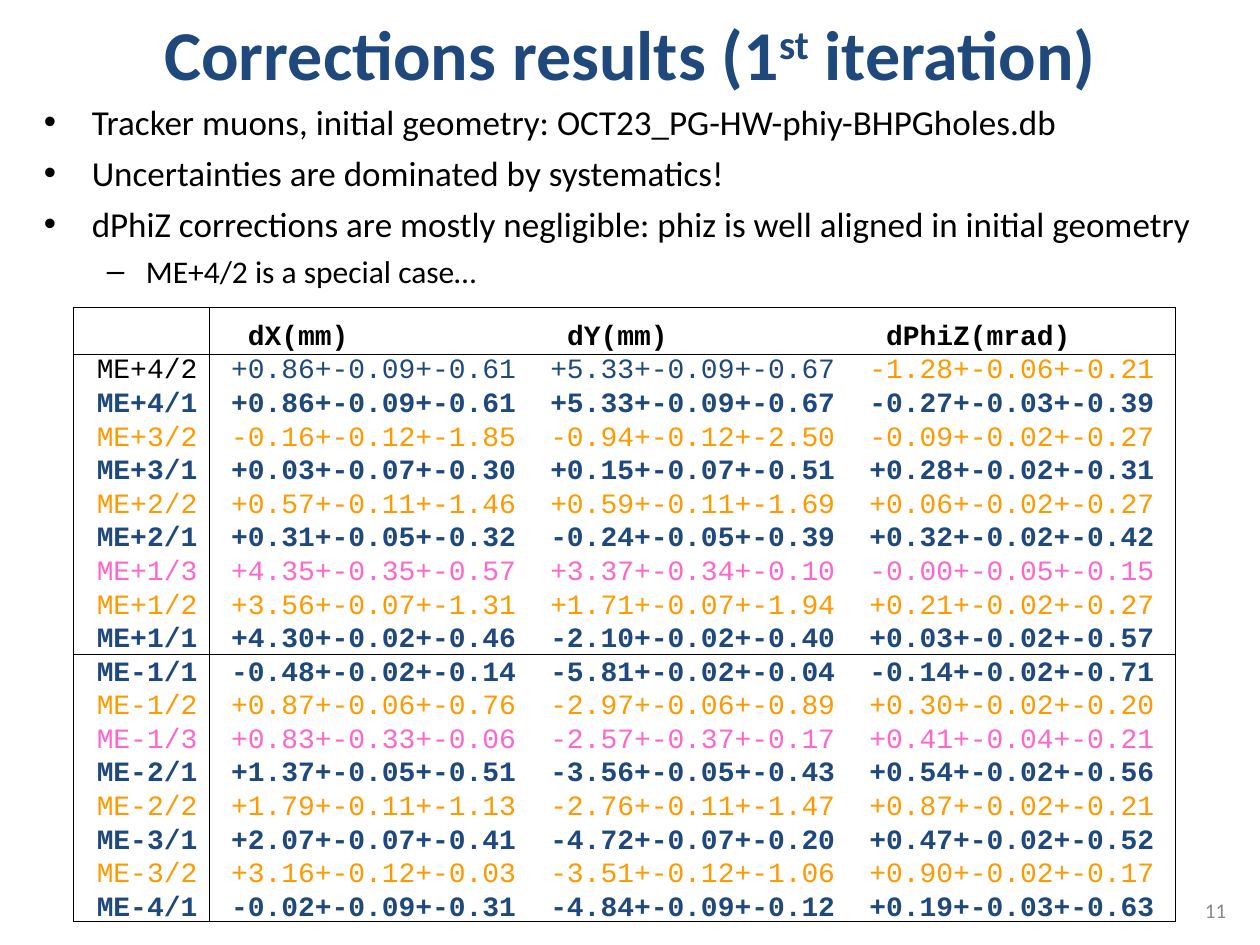
from lxml import etree
from pptx import Presentation
from pptx.dml.color import RGBColor
from pptx.enum.text import MSO_ANCHOR, MSO_AUTO_SIZE, PP_ALIGN
from pptx.oxml.ns import qn
from pptx.util import Inches, Pt

TOP, MIDDLE = MSO_ANCHOR.TOP, MSO_ANCHOR.MIDDLE
GROW = MSO_AUTO_SIZE.SHAPE_TO_FIT_TEXT
LEFT, CENTER, RIGHT = PP_ALIGN.LEFT, PP_ALIGN.CENTER, PP_ALIGN.RIGHT
BLACK, BLUE, ORANGE, PINK, GRAY = "000000", "1F497D", "FF9900", "FF66CC", "898989"
SANS, MONO = "Calibri", "Courier New"
RING_COLORS = {"1": BLUE, "2": ORANGE, "3": PINK}
CHAR = 0.1333

BULLETS = [
    (0, "Tracker muons, initial geometry: OCT23_PG-HW-phiy-BHPGholes.db"),
    (0, "Uncertainties are dominated by systematics!"),
    (0, "dPhiZ corrections are mostly negligible: phiz is well aligned in initial geometry"),
    (1, "ME+4/2 is a special case…"),
]
BULLET_STYLES = [("•", 20, 5, 0.38, -0.38), ("–", 18, 4.5, 0.81, -0.31)]
HEADERS = ["dX(mm)", "dY(mm)", "dPhiZ(mrad)"]
CORRECTIONS = [
    ("ME+4/2", "+0.86+-0.09+-0.61", "+5.33+-0.09+-0.67", "-1.28+-0.06+-0.21"),
    ("ME+4/1", "+0.86+-0.09+-0.61", "+5.33+-0.09+-0.67", "-0.27+-0.03+-0.39"),
    ("ME+3/2", "-0.16+-0.12+-1.85", "-0.94+-0.12+-2.50", "-0.09+-0.02+-0.27"),
    ("ME+3/1", "+0.03+-0.07+-0.30", "+0.15+-0.07+-0.51", "+0.28+-0.02+-0.31"),
    ("ME+2/2", "+0.57+-0.11+-1.46", "+0.59+-0.11+-1.69", "+0.06+-0.02+-0.27"),
    ("ME+2/1", "+0.31+-0.05+-0.32", "-0.24+-0.05+-0.39", "+0.32+-0.02+-0.42"),
    ("ME+1/3", "+4.35+-0.35+-0.57", "+3.37+-0.34+-0.10", "-0.00+-0.05+-0.15"),
    ("ME+1/2", "+3.56+-0.07+-1.31", "+1.71+-0.07+-1.94", "+0.21+-0.02+-0.27"),
    ("ME+1/1", "+4.30+-0.02+-0.46", "-2.10+-0.02+-0.40", "+0.03+-0.02+-0.57"),
    ("ME-1/1", "-0.48+-0.02+-0.14", "-5.81+-0.02+-0.04", "-0.14+-0.02+-0.71"),
    ("ME-1/2", "+0.87+-0.06+-0.76", "-2.97+-0.06+-0.89", "+0.30+-0.02+-0.20"),
    ("ME-1/3", "+0.83+-0.33+-0.06", "-2.57+-0.37+-0.17", "+0.41+-0.04+-0.21"),
    ("ME-2/1", "+1.37+-0.05+-0.51", "-3.56+-0.05+-0.43", "+0.54+-0.02+-0.56"),
    ("ME-2/2", "+1.79+-0.11+-1.13", "-2.76+-0.11+-1.47", "+0.87+-0.02+-0.21"),
    ("ME-3/1", "+2.07+-0.07+-0.41", "-4.72+-0.07+-0.20", "+0.47+-0.02+-0.52"),
    ("ME-3/2", "+3.16+-0.12+-0.03", "-3.51+-0.12+-1.06", "+0.90+-0.02+-0.17"),
    ("ME-4/1", "-0.02+-0.09+-0.31", "-4.84+-0.09+-0.12", "+0.19+-0.03+-0.63"),
]


def rgb(value):
    return RGBColor.from_string(value)


def add_box(s, box, anchor=TOP):
    tf = s.shapes.add_textbox(*map(Inches, box)).text_frame
    tf.word_wrap = True
    tf.vertical_anchor = anchor
    return tf


def add_run(p, text, size, color, bold=False, font=SANS):
    r = p.add_run()
    r.text = text
    r.font.name, r.font.size, r.font.bold = font, Pt(size), bold
    r.font.color.rgb = rgb(color)
    return r


def set_tabs(p, stops):
    tabs = etree.SubElement(p._p.get_or_add_pPr(), qn("a:tabLst"))
    for stop in stops:
        etree.SubElement(tabs, qn("a:tab"), pos=str(Inches(stop)), algn="l")


def add_title(s, box):
    p = add_box(s, box, MIDDLE).paragraphs[0]
    p.alignment = CENTER
    add_run(p, "Corrections results (1", 40, BLUE, True)
    r = add_run(p, "st", 40, BLUE, True)
    r.font._element.set("baseline", "30000")
    add_run(p, " iteration)", 40, BLUE, True)


def add_bullets(s, box):
    tf = add_box(s, box)
    for i, (level, text) in enumerate(BULLETS):
        mark, size, before, margin, indent = BULLET_STYLES[level]
        p = tf.add_paragraph() if i else tf.paragraphs[0]
        p.level = level
        p.space_before = Pt(before)
        pPr = p._p.get_or_add_pPr()
        pPr.set("marL", str(Inches(margin)))
        pPr.set("indent", str(Inches(indent)))
        etree.SubElement(pPr, qn("a:buFont"), typeface="Arial")
        etree.SubElement(pPr, qn("a:buChar"), char=mark)
        add_run(p, text, size, BLACK)


def add_page_number(s, box):
    p = add_box(s, box, MIDDLE).paragraphs[0]
    p.alignment = RIGHT
    add_run(p, "11", 12, GRAY)


def set_borders(cell):
    tcPr = cell._tc.get_or_add_tcPr()
    for side in ("lnL", "lnR", "lnT", "lnB"):
        ln = etree.SubElement(tcPr, qn(f"a:{side}"), w=str(Pt(0.45)))
        fill = etree.SubElement(ln, qn("a:solidFill"))
        etree.SubElement(fill, qn("a:srgbClr"), val=BLACK)


def add_grid(s, box, widths, heights):
    table = s.shapes.add_table(len(heights), len(widths), *map(Inches, box)).table
    table.first_row = table.horz_banding = False
    for column, width in zip(table.columns, widths):
        column.width = Inches(width)
    for row, height in zip(table.rows, heights):
        row.height = Inches(height)
    for cell in table.iter_cells():
        cell.margin_top = cell.margin_bottom = 0
        set_borders(cell)
        cell.fill.background()


def row_styles(label):
    if label == "ME+4/2":
        return [(BLACK, False), (BLUE, False), (BLUE, False), (ORANGE, False)]
    ring = label[-1]
    return [(RING_COLORS[ring], ring == "1")] * 4


def add_corrections(s, box):
    tf = add_box(s, box)
    tf.auto_size = GROW
    stops = [CHAR * (8 + 19 * i) for i in range(3)]
    p = tf.paragraphs[0]
    p.alignment = LEFT
    set_tabs(p, [stop + CHAR for stop in stops])
    for header in HEADERS:
        add_run(p, "\t" + header, 16, BLACK, True, MONO)
    for values in CORRECTIONS:
        p = tf.add_paragraph()
        p.alignment = LEFT
        set_tabs(p, stops)
        for i, (value, (color, bold)) in enumerate(zip(values, row_styles(values[0]))):
            add_run(p, "\t" + value if i else value, 16, color, bold, MONO)


def main():
    prs = Presentation()
    prs.slide_width, prs.slide_height = Inches(10), Inches(7.5)
    s = prs.slides.add_slide(prs.slide_layouts[6])
    add_title(s, (0.25, 0.08, 9.5, 0.67))
    add_bullets(s, (0.25, 0.75, 9.42, 1.75))
    add_page_number(s, (7.5, 7.02, 2.33, 0.4))
    add_grid(s, (0.58, 2.44, 8.75, 4.87), (1.08, 7.67), (0.37, 2.38, 2.12))
    add_corrections(s, (0.67, 2.47, 8.67, 4.9))
    prs.save("out.pptx")


if __name__ == "__main__":
    main()
